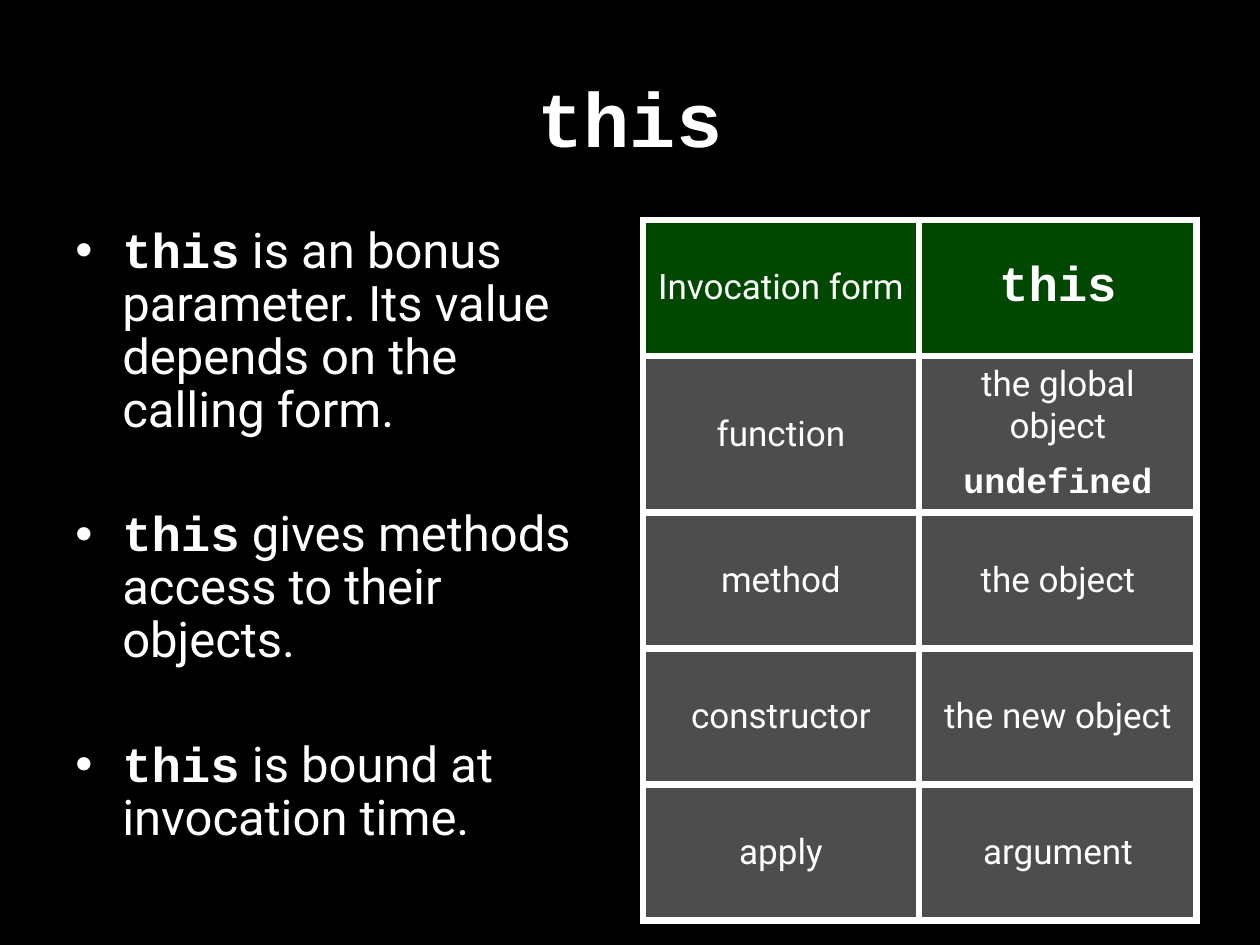
from lxml.etree import SubElement
from pptx import Presentation
from pptx.dml.color import RGBColor
from pptx.enum.text import MSO_ANCHOR as Anchor, PP_ALIGN as Align
from pptx.oxml import parse_xml
from pptx.oxml.ns import nsdecls, qn
from pptx.util import Pt

COLORS = {"back": "000000", "text": "FFFFFF", "border": "FFFFFF",
          "header": "004800", "body": "4D4D4D"}
BODY_FONT, CODE_FONT = "Roboto", "Courier New"
CODE_WORDS = ("this", "undefined")

TITLE = "this"
BULLETS = [
    ("this", " is an bonus parameter. Its value depends on the calling form."),
    ("this", " gives methods access to their objects."),
    ("this", " is bound at invocation time."),
]
ROWS = [
    ("Invocation form", ["this"]),
    ("function", ["the global object", "undefined"]),
    ("method", ["the object"]),
    ("constructor", ["the new object"]),
    ("apply", ["argument"]),
]

SLIDE_SIZE = (1260, 945)
TITLE_BOX = (63, 38, 1134, 158)
BULLET_BOX = (63, 220, 557, 703)
TABLE_LEFT, TABLE_TOP = 643, 220
COLUMN_WIDTHS = (276, 278)
ROW_HEIGHT = 136
BULLET_INDENT = 47
BORDER_WIDTH = 4.5


def px(length):
    return length * 914400 // 126


def color(name):
    return RGBColor.from_string(COLORS[name])


def write(paragraph, *texts, size, align=Align.LEFT, before=0, after=0, spacing=1.0):
    paragraph.alignment = align
    paragraph.space_before, paragraph.space_after = Pt(before), Pt(after)
    paragraph.line_spacing = spacing
    for text in texts:
        run = paragraph.add_run()
        run.text = text
        is_code = text in CODE_WORDS
        run.font.name = CODE_FONT if is_code else BODY_FONT
        run.font.bold = is_code
        run.font.size = Pt(size)
        run.font.color.rgb = color("text")


def paragraphs(frame, count):
    return [frame.paragraphs[0]] + [frame.add_paragraph() for _ in range(count - 1)]


def add_text_frame(slide, box, anchor):
    frame = slide.shapes.add_textbox(*map(px, box)).text_frame
    frame.word_wrap = True
    frame.vertical_anchor = anchor
    return frame


def add_bullet(paragraph):
    properties = paragraph._p.get_or_add_pPr()
    properties.set("marL", str(px(BULLET_INDENT)))
    properties.set("indent", str(-px(BULLET_INDENT)))
    SubElement(properties, qn("a:buFont"), typeface="Arial")
    SubElement(properties, qn("a:buChar"), char="•")


def add_borders(cell):
    properties = cell._tc.get_or_add_tcPr()
    for index, side in enumerate("LRTB"):
        properties.insert(index, parse_xml(
            f'<a:ln{side} {nsdecls("a")} w="{Pt(BORDER_WIDTH)}"><a:solidFill>'
            f'<a:srgbClr val="{COLORS["border"]}"/></a:solidFill></a:ln{side}>'))


def fill_cell(cell, lines, is_header):
    cell.vertical_anchor = Anchor.MIDDLE
    cell.fill.solid()
    cell.fill.fore_color.rgb = color("header" if is_header else "body")
    add_borders(cell)
    for paragraph, line in zip(paragraphs(cell.text_frame, len(lines)), lines):
        size = 28 if line == TITLE else 20
        write(paragraph, line, size=size, align=Align.CENTER,
              before=size * 0.3, after=size * 0.2)


def add_invocation_table(slide):
    table = slide.shapes.add_table(
        len(ROWS), len(COLUMN_WIDTHS), px(TABLE_LEFT), px(TABLE_TOP),
        px(sum(COLUMN_WIDTHS)), px(ROW_HEIGHT * len(ROWS))).table
    for column, width in zip(table.columns, COLUMN_WIDTHS):
        column.width = px(width)
    for index, (form, values) in enumerate(ROWS):
        table.rows[index].height = px(ROW_HEIGHT)
        fill_cell(table.cell(index, 0), [form], index == 0)
        fill_cell(table.cell(index, 1), values, index == 0)


def main():
    presentation = Presentation()
    presentation.slide_width, presentation.slide_height = map(px, SLIDE_SIZE)
    slide = presentation.slides.add_slide(presentation.slide_layouts[6])
    slide.background.fill.solid()
    slide.background.fill.fore_color.rgb = color("back")

    title = add_text_frame(slide, TITLE_BOX, Anchor.MIDDLE)
    write(title.paragraphs[0], TITLE, size=44, align=Align.CENTER)

    body = add_text_frame(slide, BULLET_BOX, Anchor.TOP)
    for index, paragraph in enumerate(paragraphs(body, len(BULLETS))):
        write(paragraph, *BULLETS[index], size=28, spacing=0.9,
              before=41 if index else 0)
        add_bullet(paragraph)

    add_invocation_table(slide)
    presentation.save("out.pptx")


if __name__ == "__main__":
    main()
